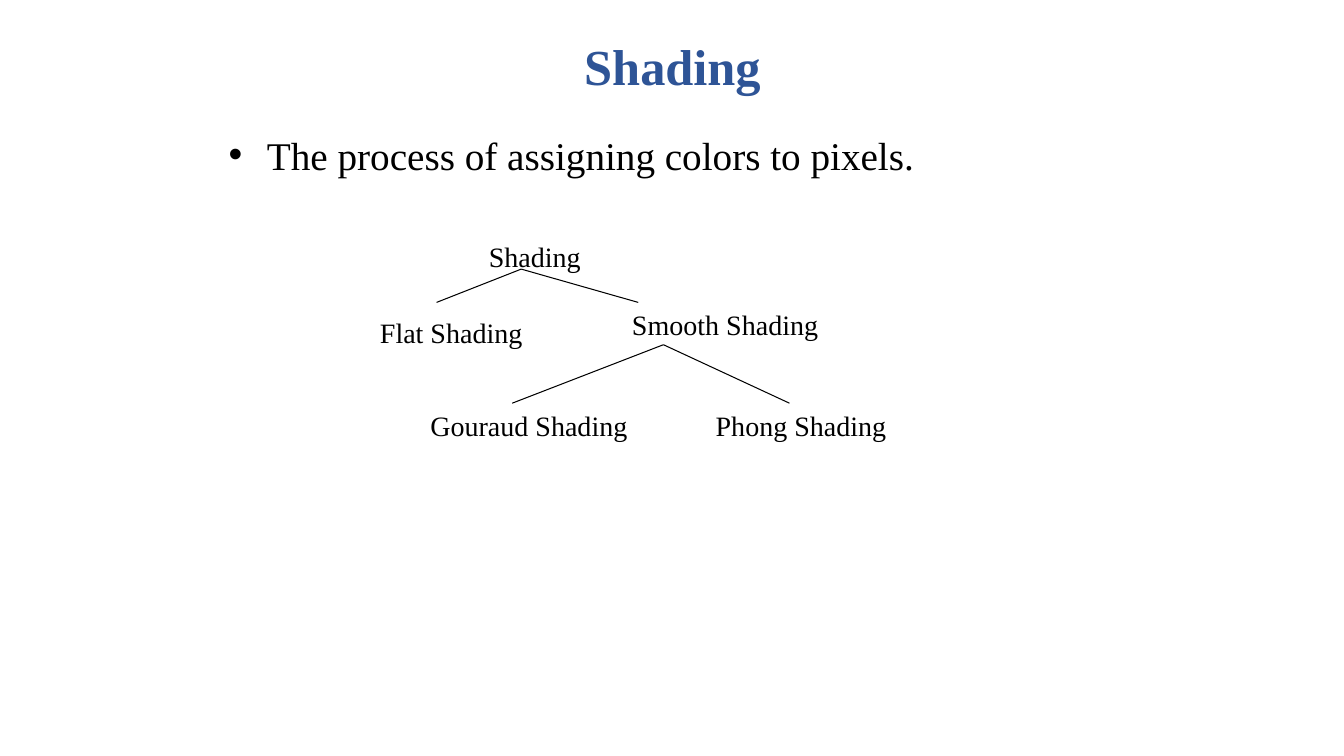
from lxml import etree
from pptx import Presentation
from pptx import util as u
from pptx.dml.color import RGBColor
from pptx.enum import shapes, text
from pptx.oxml.ns import qn

FONT = "Times New Roman"
BLACK = "000000"
BLUE = "2E5496"

NODES = [
    ("Shading", 4.75, 2.33),
    ("Flat Shading", 3.67, 3.08),
    ("Smooth Shading", 6.17, 3),
    ("Gouraud Shading", 4.17, 4),
    ("Phong Shading", 7, 4),
]
BRANCHES = [
    ((5.17, 2.67), [(4.33, 3), (6.33, 3)]),
    ((6.58, 3.42), [(5.08, 4), (7.83, 4)]),
]


def color(value):
    """Turn a hex string into a colour."""
    return RGBColor.from_string(value)


def add_text(slide, words, left, top, width, height, size, fill=BLACK, bold=False):
    """Add a one-paragraph text box and return its shape."""
    shape = slide.shapes.add_textbox(*map(u.Inches, (left, top, width, height)))
    frame = shape.text_frame
    frame.word_wrap = True
    frame.text = words
    font = frame.paragraphs[0].runs[0].font
    font.name = FONT
    font.size = u.Pt(size)
    font.bold = bold
    font.color.rgb = color(fill)
    return shape


def add_title(slide, words):
    """Add the centred slide title."""
    frame = add_text(slide, words, 2.17, 0.3, 9, 0.7, 36, BLUE, True).text_frame
    frame.vertical_anchor = text.MSO_ANCHOR.MIDDLE
    frame.paragraphs[0].alignment = text.PP_ALIGN.CENTER


def add_bullet(slide, words):
    """Add the bulleted definition with a hanging indent."""
    shape = add_text(slide, words, 2.17, 1.25, 9, 0.57, 28)
    properties = shape.text_frame.paragraphs[0]._p.get_or_add_pPr()
    properties.set("marL", str(u.Inches(0.38)))
    properties.set("indent", str(u.Inches(-0.38)))
    etree.SubElement(properties, qn("a:buFont"), typeface="Arial")
    etree.SubElement(properties, qn("a:buChar"), char="•")


def add_branch(slide, start, end):
    """Draw one thin line of the tree."""
    points = map(u.Inches, (*start, *end))
    line = slide.shapes.add_connector(shapes.MSO_CONNECTOR.STRAIGHT, *points)
    line.line.color.rgb = color(BLACK)
    line.line.width = u.Pt(0.75)
    etree.SubElement(line._element.spPr, qn("a:effectLst"))


def main():
    """Build the shading slide and save it."""
    presentation = Presentation()
    presentation.slide_width = u.Inches(13.33)
    presentation.slide_height = u.Inches(7.5)
    slide = presentation.slides.add_slide(presentation.slide_layouts[6])
    add_title(slide, "Shading")
    add_bullet(slide, "The process of assigning colors to pixels.")
    for words, left, top in NODES:
        add_text(slide, words, left, top, 2.33, 0.43, 20)
    for start, ends in BRANCHES:
        for end in ends:
            add_branch(slide, start, end)
    presentation.save("out.pptx")


main()
